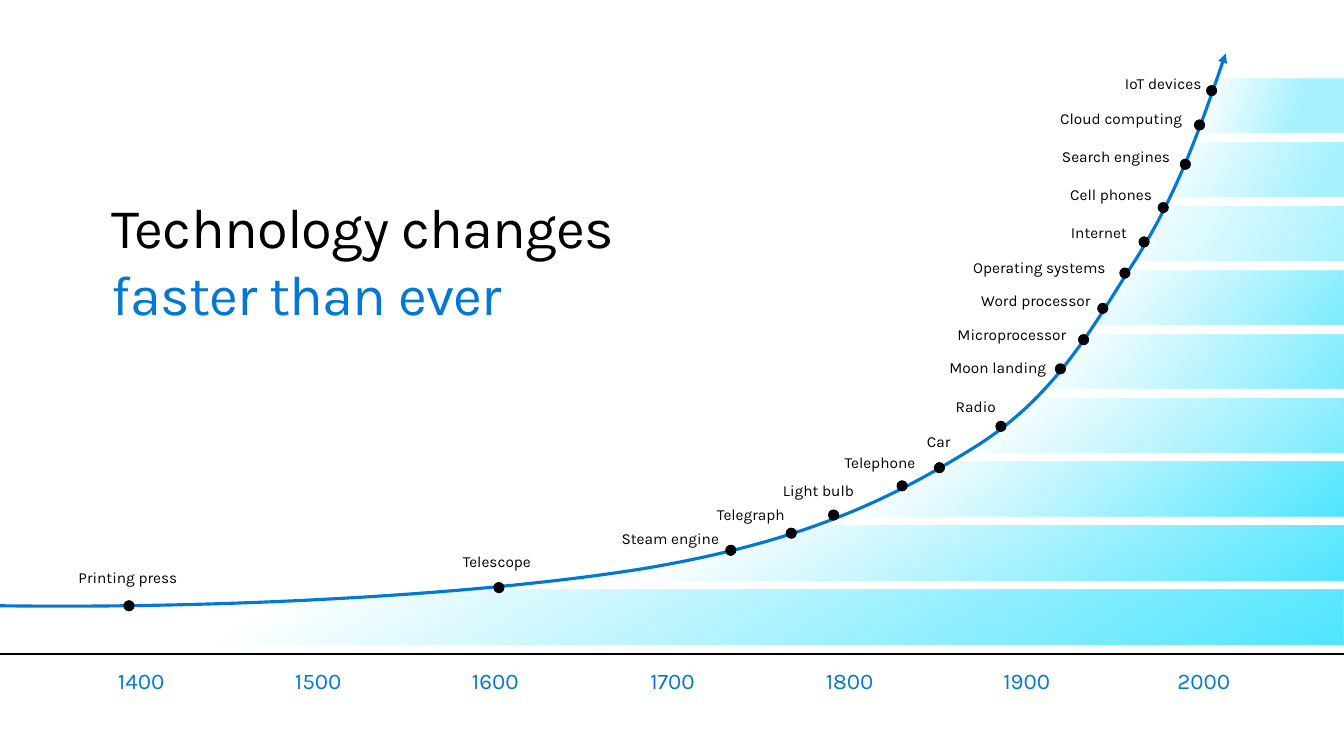
from pptx import Presentation
from pptx.dml.color import RGBColor
from pptx.enum.shapes import MSO_CONNECTOR, MSO_SHAPE
from pptx.enum.text import MSO_ANCHOR, PP_ALIGN
from pptx.oxml.ns import qn
from pptx.util import Inches, Pt
from lxml.etree import SubElement

HUES = {"ink": "000000", "blue": "0078D4", "cyan": "50E6FF", "white": "FFFFFF"}
FONT = "Karla"
CELL = Inches(0.1)
COLS, ROWS = 133.33, 75
MID, END = PP_ALIGN.CENTER, PP_ALIGN.RIGHT

BANDS = [
    (15.0, 20, 15, 5, 68, 50),
    (17.4, 30, 7, 5, 83, 50),
    (20.8, 30, 0, 4, 100, 50),
    (25.1, 40, 9, 4, 100, 75),
    (29.5, 40, 9, 3, 100, 75),
    (37.9, 50, 14, 3, 100, 75),
    (48.7, 50, 11, 2, 100, 100),
    (81.4, 60, 23, 2, 100, 100),
    (COLS, 60, 21, 0, 100, 100),
]
CURVE = [
    (0, 55.1), (22.5, 55.4), (47.8, 54), (63.9, 51.4), (80, 48.7),
    (88.6, 44.4), (96.8, 39.3), (104.9, 34.2), (108.5, 27.2),
    (112.7, 20.7), (116.8, 14.2), (119.2, 7.3), (121.6, 0.3),
]
EVENTS = [
    ("Printing press", 12.8, 55.1, -0.1, -3.7, MID),
    ("Telescope", 49.5, 53.3, -0.2, -3.5, MID),
    ("Steam engine", 72.5, 49.6, -6, -2.1, MID),
    ("Telegraph", 78.5, 47.9, -4, -2.8, MID),
    ("Light bulb", 82.7, 46.1, -1.5, -3.4, MID),
    ("Telephone", 89.5, 43.2, -2.2, -3.2, MID),
    ("Car", 93.2, 41.4, 1.1, -3.5, END),
    ("Radio", 99.3, 37.3, -0.5, -2.9, END),
    ("Moon landing", 105.2, 31.6, -1.4, -1.1, END),
    ("Microprocessor", 107.5, 28.7, -1.7, -1.4, END),
    ("Word processor", 109.4, 25.6, -1.2, -1.7, END),
    ("Operating systems", 111.6, 22.1, -1.9, -1.5, END),
    ("Internet", 113.5, 19, -1.7, -1.9, END),
    ("Cell phones", 115.4, 15.6, -1.1, -2.2, END),
    ("Search engines", 117.6, 11.3, -1.5, -1.7, END),
    ("Cloud computing", 119, 7.4, -1.7, -1.6, END),
    ("IoT devices", 120.2, 4, -1, -1.6, END),
]


def grid(*cells):
    return [round(c * CELL) for c in cells]


def hue(name):
    return RGBColor.from_string(HUES[name])


def paint(shape, fill, line=None, width=0.75):
    shape.shadow.inherit = False
    shape.fill.solid()
    shape.fill.fore_color.rgb = hue(fill)
    shape.line.color.rgb = hue(line or fill)
    shape.line.width = Pt(width)


def strip(frame):
    frame.word_wrap = True
    frame.vertical_anchor = MSO_ANCHOR.TOP
    frame.margin_left = frame.margin_right = 0
    frame.margin_top = frame.margin_bottom = 0


def write(para, text, size=11, color="ink", track=None):
    run = para.add_run()
    run.text = text
    run.font.name = FONT
    run.font.size = Pt(size)
    run.font.color.rgb = hue(color)
    if track is not None:
        run.font._element.set("spc", str(track))


def label(slide, box, text, align=MID, **style):
    frame = slide.shapes.add_textbox(*grid(*box)).text_frame
    strip(frame)
    frame.paragraphs[0].alignment = align
    write(frame.paragraphs[0], text, **style)


def head(slide, box):
    title = slide.shapes.title
    title.left, title.top, title.width, title.height = grid(*box)
    strip(title.text_frame)
    para = title.text_frame.paragraphs[0]
    para.alignment = PP_ALIGN.LEFT
    write(para, "Technology changes ", size=40, track=-50)
    write(para, "faster than ever", size=40, color="blue", track=-50)


def bands(slide, box):
    left, top, wide, tall = box
    step = tall / len(BANDS)
    for row, (size, angle, *ramp) in enumerate(BANDS):
        bar = slide.shapes.add_shape(
            MSO_SHAPE.RECTANGLE,
            *grid(left + wide - size, top + row * step, size, step * 0.85))
        bar.shadow.inherit = False
        bar.line.fill.background()
        bar.fill.gradient()
        bar.fill.gradient_angle = 360 - angle
        for stop, place, alpha in zip(bar.fill.gradient_stops, ramp[::2], ramp[1::2]):
            stop.position = place / 100
            stop.color.rgb = hue("cyan")
            tint = stop._gs.find(qn("a:srgbClr"))
            SubElement(tint, qn("a:alpha"), val=str(alpha * 1000))


def curve(slide, box):
    left, top = box[:2]
    points = [grid(left + x, top + y) for x, y in CURVE]
    pen = slide.shapes.build_freeform(*points[0])
    pen.add_line_segments(points[1:], close=False)
    shape = pen.convert_to_shape()
    paint(shape, "white", "blue", 2.25)
    SubElement(shape.line._get_or_add_ln(), qn("a:tailEnd"), type="triangle")
    track = next(shape._element.iter(qn("a:path")))
    lines = track.findall(qn("a:lnTo"))
    for k in range(0, len(lines), 3):
        bend = SubElement(track, qn("a:cubicBezTo"))
        for line in lines[k:k + 3]:
            bend.append(line[0])
            track.remove(line)


def events(slide, box):
    left, top = box[:2]
    wide = 15
    for name, x, y, dx, dy, align in EVENTS:
        x, y = left + x, top + y
        dot = slide.shapes.add_shape(MSO_SHAPE.OVAL, *grid(x - 0.5, y - 0.5, 1, 1))
        paint(dot, "ink")
        back = wide / 2 if align == MID else wide
        label(slide, (x + dx - back, y + dy, wide, 2.3), name, align)


def axis(slide, box):
    left, top, wide, tall = box
    rule = slide.shapes.add_connector(
        MSO_CONNECTOR.STRAIGHT, *grid(left, top, left + wide, top))
    rule.line.color.rgb = hue("ink")
    rule.line.width = Pt(1)
    SubElement(rule._element.spPr, qn("a:effectLst"))
    for k, year in enumerate(range(1400, 2001, 100)):
        spot = (left + 9.9 + k * 17.57, top + 1.3, 8.2, tall - 1.3)
        label(slide, spot, str(year), size=16, color="blue")


def main():
    deck = Presentation()
    deck.slide_width, deck.slide_height = grid(COLS, ROWS)
    slide = deck.slides.add_slide(deck.slide_layouts[5])
    plot = (0, 5, COLS, 60)
    head(slide, (11.1, 19.1, 51.5, 13.5))
    bands(slide, (0, 7.8, COLS, 57.06))
    curve(slide, plot)
    events(slide, plot)
    axis(slide, (0, 64.9, COLS, 4))
    deck.save("out.pptx")


if __name__ == "__main__":
    main()
